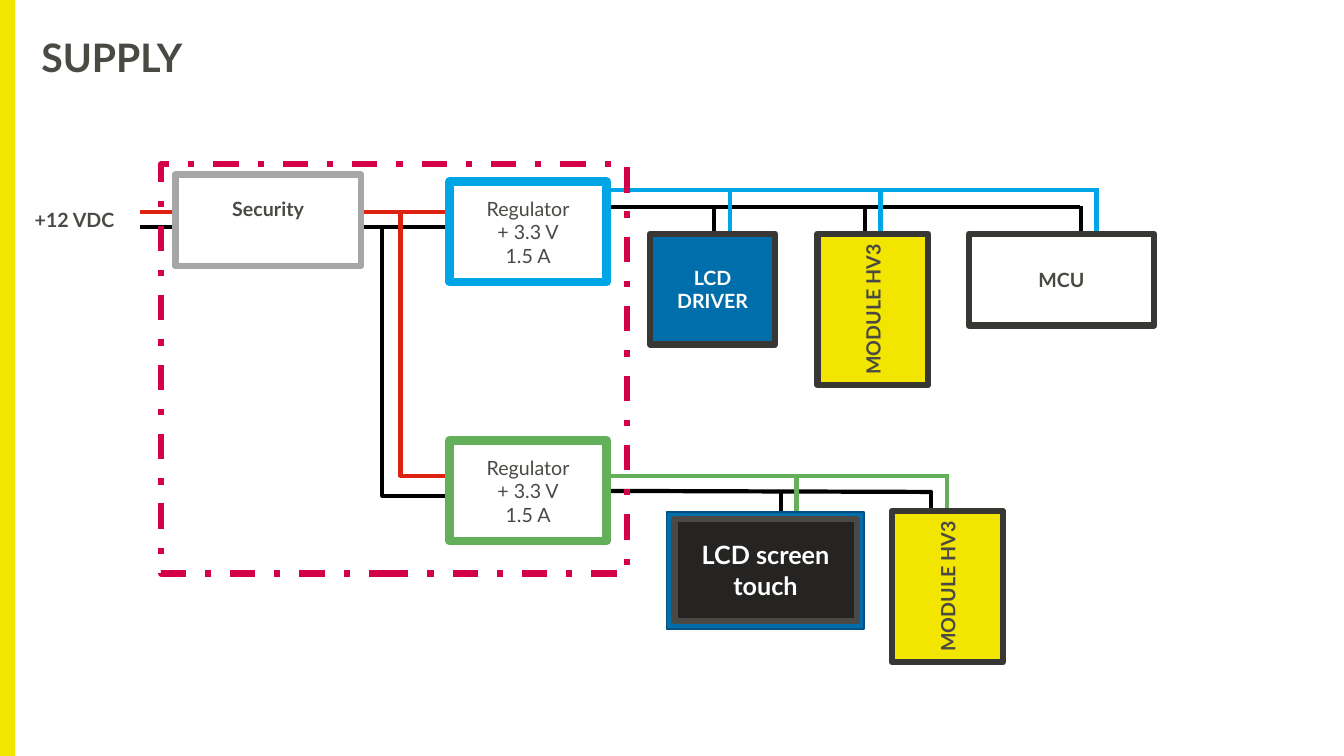
from lxml.etree import SubElement
from pptx import Presentation
from pptx.dml.color import RGBColor
from pptx.enum.dml import MSO_LINE as Dash
from pptx.enum.shapes import MSO_CONNECTOR as Link, MSO_SHAPE as Preset
from pptx.enum.text import MSO_ANCHOR as Anchor, PP_ALIGN as Align
from pptx.oxml.ns import qn
from pptx.util import Pt

COLORS = {
    "yellow": "F2E500", "green": "64AF5A", "blue": "00A5E6", "red": "DC230F",
    "black": "000000", "white": "FFFFFF", "text": "4A4944", "frame": "383733",
    "navy": "006EAA", "navy edge": "005082", "screen": "252422",
    "gray": "A6A6A6", "magenta": "D4004A",
}


class SupplyDiagram:
    """Draws wires and labelled blocks on one slide in a shared style."""

    def __init__(self, slide, font="Lato"):
        self.shapes = slide.shapes
        self.font = font

    def color(self, name):
        return RGBColor.from_string(COLORS[name])

    def label(self, shape, lines, size=14, bold=True, color="text",
              align=Align.CENTER, spacing=None, **margins):
        frame = shape.text_frame
        settings = {"word_wrap": True, "vertical_anchor": Anchor.MIDDLE}
        settings.update({f"margin_{side}": Pt(gap) for side, gap in margins.items()})
        for name, value in settings.items():
            setattr(frame, name, value)
        for index, line in enumerate(lines):
            para = frame.add_paragraph() if index else frame.paragraphs[0]
            para.alignment = align
            para.line_spacing = spacing
            span = para.add_run()
            span.text = line
            for name, value in {"name": self.font, "size": Pt(size), "bold": bold}.items():
                setattr(span.font, name, value)
            span.font.color.rgb = self.color(color)

    def title(self, text, *bounds):
        box = self.shapes.add_textbox(*map(Pt, bounds))
        self.label(box, [text], size=28, align=Align.LEFT, spacing=0.9,
                   left=0, top=0, right=0, bottom=0)

    def block(self, bounds, fill=None, edge=None, width=4.5, lines=(),
              rotation=0, dash=None, **style):
        box = self.shapes.add_shape(Preset.RECTANGLE, *map(Pt, bounds))
        box.shadow.inherit = False
        box.rotation = rotation
        if fill:
            box.fill.solid()
            box.fill.fore_color.rgb = self.color(fill)
        else:
            box.fill.background()
        if edge:
            box.line.color.rgb = self.color(edge)
            box.line.width = Pt(width)
            box.line.dash_style = dash
        else:
            box.line.fill.background()
        self.label(box, lines, **style)

    def wire(self, color, start, end, bend=None):
        kind = Link.STRAIGHT if bend is None else Link.ELBOW
        line = self.shapes.add_connector(kind, *map(Pt, (*start, *end)))
        line.line.color.rgb = self.color(color)
        line.line.width = Pt(3)
        properties = line._element.spPr
        SubElement(properties, qn("a:effectLst"))
        if bend is not None:
            guides = properties.find(qn("a:prstGeom")).get_or_add_avLst()
            SubElement(guides, qn("a:gd"), name="adj1", fmla=f"val {round(bend * 100000)}")

    def taps(self, color, top, positions, length=41.8, ground_offset=(-11.2, 12)):
        across, down = ground_offset
        for x in positions:
            self.wire("black", (x + across, top + down), (x + across, top + down + length))
            self.wire(color, (x, top), (x, top + length))


def main():
    deck = Presentation()
    deck.slide_width, deck.slide_height = Pt(960), Pt(540)
    page = deck.slides.add_slide(deck.slide_layouts[6])
    diagram = SupplyDiagram(page)

    diagram.block((0, 0, 10.8, 540), "yellow")
    diagram.title("SUPPLY", 29.5, 28, 901.5, 29)

    for color, start, end in [
        ("green", (422, 339.8), (678.2, 339.8)),
        ("black", (415.5, 350.6), (666, 351.4)),
        ("blue", (348.5, 136), (784.8, 136)),
        ("black", (328.3, 147.6), (771.8, 147.6)),
        ("red", (337.7, 151.2), (100, 151.2)),
        ("black", (337.7, 162), (100, 162)),
    ]:
        diagram.wire(color, start, end)
    diagram.wire("red", (424.8, 339.8), (233.3, 151.2), bend=0.724)
    diagram.wire("black", (424.8, 354.2), (226, 162), bend=0.763)
    diagram.taps("blue", 135, (521.2, 629, 783.2))
    diagram.taps("green", 339, (569, 676.2))

    for color, top in (("blue", 129.6), ("green", 314.6)):
        diagram.block((321.1, top, 112.3, 72), "white", color, 6,
                      ["Regulator", "+ 3.3 V", "1.5 A"], bold=False)
    diagram.block((17.3, 144, 72, 25.2), "white", lines=["+12 VDC"])
    for left, top in ((622.8, 379.4), (569.5, 181.4)):
        diagram.block((left, top, 108, 79.2), "yellow", "frame",
                      lines=["MODULE HV3"], rotation=270)
    diagram.block((692, 167, 132.5, 65.5), "white", "frame", lines=["MCU"])
    diagram.block((464.4, 167, 89.3, 79.2), "navy", "frame",
                  lines=["LCD", "DRIVER"], color="white")
    diagram.block((476, 365.8, 141.1, 83.5), "navy", "navy edge", 1)
    diagram.block((481.7, 370.8, 130.3, 72.7), "screen", "text",
                  lines=["LCD screen touch"], size=18, color="white")
    diagram.block((125.3, 124.6, 132.5, 65.5), "white", "gray",
                  lines=["Security"], bottom=20.4)
    diagram.block((115.2, 117.4, 332.6, 292.3), edge="magenta", dash=Dash.DASH_DOT)
    deck.save("out.pptx")


if __name__ == "__main__":
    main()
